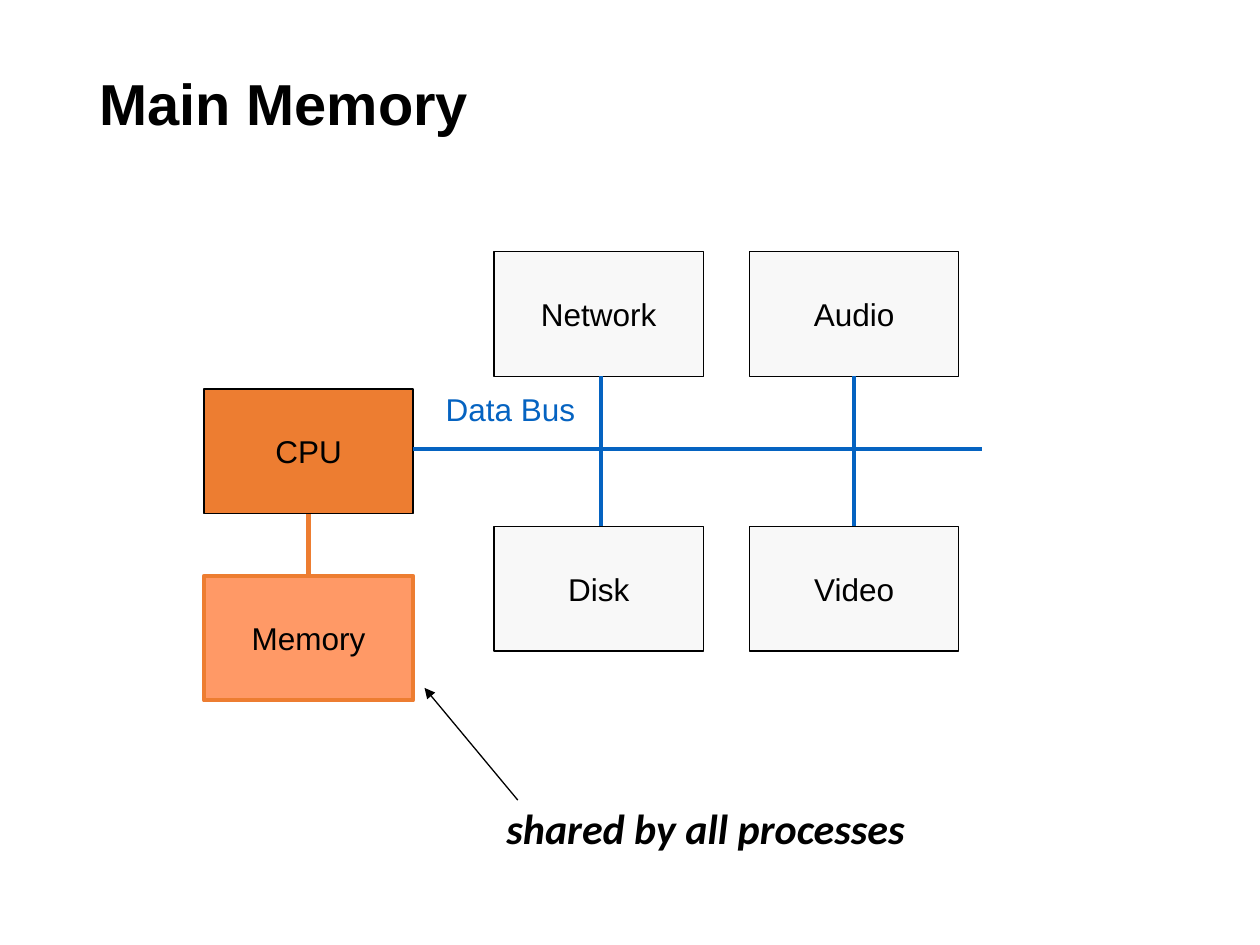
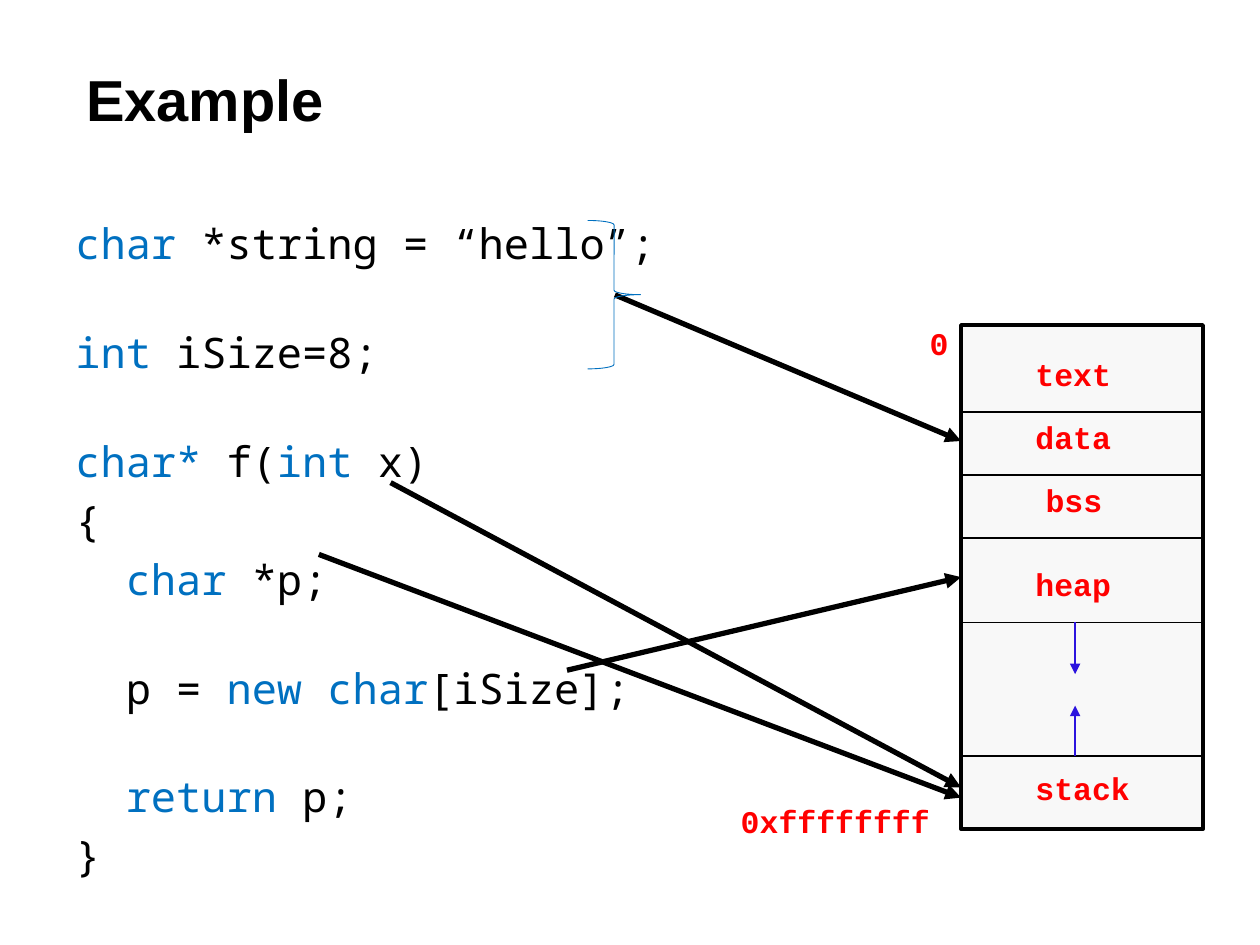
"""Build two slides: a computer's main memory, and how code maps to memory segments."""
from lxml import etree
from pptx import Presentation
from pptx.dml.color import RGBColor
from pptx.enum.shapes import MSO_CONNECTOR, MSO_SHAPE
from pptx.enum.text import MSO_ANCHOR, PP_ALIGN
from pptx.oxml.ns import qn
from pptx.util import Pt

RECT, BRACE = MSO_SHAPE.RECTANGLE, MSO_SHAPE.RIGHT_BRACE
STRAIGHT = MSO_CONNECTOR.STRAIGHT
TOP, MIDDLE = MSO_ANCHOR.TOP, MSO_ANCHOR.MIDDLE
LEFT, CENTER = PP_ALIGN.LEFT, PP_ALIGN.CENTER

BLACK = RGBColor(0x00, 0x00, 0x00)
ORANGE = RGBColor(0xED, 0x7D, 0x31)
SALMON = RGBColor(0xFF, 0x99, 0x66)
PALE = RGBColor(0xF8, 0xF8, 0xF8)
BUS_BLUE = RGBColor(0x05, 0x63, 0xC1)
KEYWORD_BLUE = RGBColor(0x00, 0x70, 0xC0)
GROWTH_BLUE = RGBColor(0x2C, 0x14, 0xDE)
RED = RGBColor(0xFF, 0x00, 0x00)

UNIT_W, UNIT_H = 119.5, 71.3
CPU_X, CPU_Y, MEMORY_Y = 116.6, 222.2, 329
BUS_Y, BUS_END = 256.4, 561
DEVICE_TOPS = (143.8, 300.8)
DEVICES = [
    (282.4, 343.4, ("Network", "Disk")),
    (428.4, 488.2, ("Audio", "Video")),
]

LINE_GAP, BLOCK_GAP, INDENT = 4.8, 33.4, 28.8
CODE = [
    (0, 0, "|char| *string = “hello”;"),
    (BLOCK_GAP, 0, "|int| iSize=8;"),
    (BLOCK_GAP, 0, "|char*| f(|int| x)"),
    (LINE_GAP, 0, "{"),
    (LINE_GAP, INDENT, "|char| *p;"),
    (BLOCK_GAP, INDENT, "p = |new char|[iSize];"),
    (BLOCK_GAP, INDENT, "|return| p;"),
    (LINE_GAP, 0, "}"),
]

MAP_X, MAP_Y, MAP_W, MAP_H = 549.2, 185.8, 138.2, 288
DIVIDERS = (235.4, 271.4, 307.4, 355.7, 432)
MAP_LABELS = [
    ("0xffffffff", 416.2, 454.6),
    ("0", 524.2, 181.5),
    ("text", 584.6, 199.4),
    ("data", 584.6, 235.4),
    ("bss", 590.4, 271.4),
    ("heap", 584.6, 319.5),
    ("stack", 584.6, 435.6),
]
CODE_ARROWS = [
    (351.4, 168.5, 252),
    (182.2, 316.8, 455.8),
    (324, 383, 329.8),
    (223.2, 275.8, 450),
]
GROWTH_X = 614.4
GROWTH_ARROWS = [(355.7, 385.2, 1.25), (432, 403.2, 1.5)]


def write(tf, text, font="Arial", size=18, color=BLACK, bold=False, italic=False,
          align=LEFT, anchor=TOP, wrap=True, spacing=None, before=0, indent=0, p=None):
    """Write text in one paragraph; parts between bars are keywords."""
    tf.word_wrap = wrap
    tf.vertical_anchor = anchor
    p = p or tf.paragraphs[0]
    p.alignment = align
    p.space_before = Pt(before)
    if spacing:
        p.line_spacing = spacing
    if indent:
        p._p.get_or_add_pPr().set("marL", str(Pt(indent)))
    for i, part in enumerate(text.split("|")):
        if part:
            r = p.add_run()
            r.text = part
            r.font.name, r.font.size = font, Pt(size)
            r.font.bold, r.font.italic = bold, italic
            r.font.color.rgb = KEYWORD_BLUE if i % 2 else color


def label(s, text, x, y, w, h, **fmt):
    """Add a text box."""
    tf = s.shapes.add_textbox(Pt(x), Pt(y), Pt(w), Pt(h)).text_frame
    write(tf, text, **fmt)


def shape(s, kind, x, y, w, h, fill=None, line=BLACK, weight=0.75):
    """Add an outlined shape, filled if a colour is given."""
    sp = s.shapes.add_shape(kind, Pt(x), Pt(y), Pt(w), Pt(h))
    sp.shadow.inherit = False
    if fill is None:
        sp.fill.background()
    else:
        sp.fill.solid()
        sp.fill.fore_color.rgb = fill
    sp.line.color.rgb, sp.line.width = line, Pt(weight)
    return sp


def unit(s, text, x, y, fill=PALE, **outline):
    """Add a labelled hardware unit."""
    sp = shape(s, RECT, x, y, UNIT_W, UNIT_H, fill, **outline)
    write(sp.text_frame, text, align=CENTER, anchor=MIDDLE, wrap=False)


def connect(s, x1, y1, x2, y2, color=BLACK, weight=0.75, arrow=False):
    """Add a straight line, with an arrowhead at its end if asked."""
    c = s.shapes.add_connector(STRAIGHT, Pt(x1), Pt(y1), Pt(x2), Pt(y2))
    c.line.color.rgb, c.line.width = color, Pt(weight)
    if arrow:
        etree.SubElement(c.line._get_or_add_ln(), qn("a:tailEnd"), type="triangle")
    etree.SubElement(c._element.spPr, qn("a:effectLst"))


def new_slide(prs, title, x, y, w, h):
    """Add a blank slide with a title."""
    s = prs.slides.add_slide(prs.slide_layouts[6])
    label(s, title, x, y, w, h, size=33, bold=True, anchor=MIDDLE, spacing=0.9)
    return s


def hardware_slide(prs):
    """Draw the CPU, its memory and the devices on the bus."""
    s = new_slide(prs, "Main Memory", 49.7, 15.8, 634.3, 90)
    cpu_mid = CPU_X + UNIT_W / 2
    unit(s, "CPU", CPU_X, CPU_Y, ORANGE)
    unit(s, "Memory", CPU_X, MEMORY_Y, SALMON, line=ORANGE, weight=2.25)
    connect(s, cpu_mid, MEMORY_Y, cpu_mid, CPU_Y + UNIT_H, ORANGE, 2.75)
    connect(s, CPU_X + UNIT_W, BUS_Y, BUS_END, BUS_Y, BUS_BLUE, 2.25)
    for x, branch_x, names in DEVICES:
        for name, y in zip(names, DEVICE_TOPS):
            unit(s, name, x, y)
        connect(s, branch_x, DEVICE_TOPS[0] + UNIT_H, branch_x, DEVICE_TOPS[1], BUS_BLUE, 2.25)
    label(s, "Data Bus", 239.8, 219.2, 103.7, 37.4, color=BUS_BLUE, align=CENTER, wrap=False)
    label(s, "shared by all processes", 282.3, 455, 318.2, 36.7,
          font="Calibri", size=24, bold=True, italic=True)
    connect(s, 295.9, 457.2, 242.6, 393.1, arrow=True)


def example_slide(prs):
    """Draw the code beside the memory map."""
    s = new_slide(prs, "Example", 42.2, 15.4, 642.2, 86.4)
    tf = s.shapes.add_textbox(Pt(36), Pt(121), Pt(648), Pt(409)).text_frame
    for i, (before, indent, text) in enumerate(CODE):
        p = tf.add_paragraph() if i else tf.paragraphs[0]
        write(tf, text, font="Noto Sans Mono", size=24, before=before, indent=indent, p=p)
    for x, y, target_y in CODE_ARROWS:
        connect(s, x, y, MAP_X, target_y, weight=3, arrow=True)
    shape(s, BRACE, 335.8, 126, 30.2, 84.8, line=KEYWORD_BLUE, weight=0.5)
    shape(s, RECT, MAP_X, MAP_Y, MAP_W, MAP_H, PALE, weight=2.25)
    for y in DIVIDERS:
        connect(s, MAP_X, y, MAP_X + MAP_W, y)
    for text, x, y in MAP_LABELS:
        label(s, text, x, y, 125, 29, font="Courier New", color=RED, bold=True)
    for y, end_y, weight in GROWTH_ARROWS:
        connect(s, GROWTH_X, y, GROWTH_X, end_y, GROWTH_BLUE, weight, arrow=True)


def main():
    """Build and save the deck."""
    prs = Presentation()
    prs.slide_width, prs.slide_height = Pt(720), Pt(540)
    hardware_slide(prs)
    example_slide(prs)
    prs.save("out.pptx")


if __name__ == "__main__":
    main()
